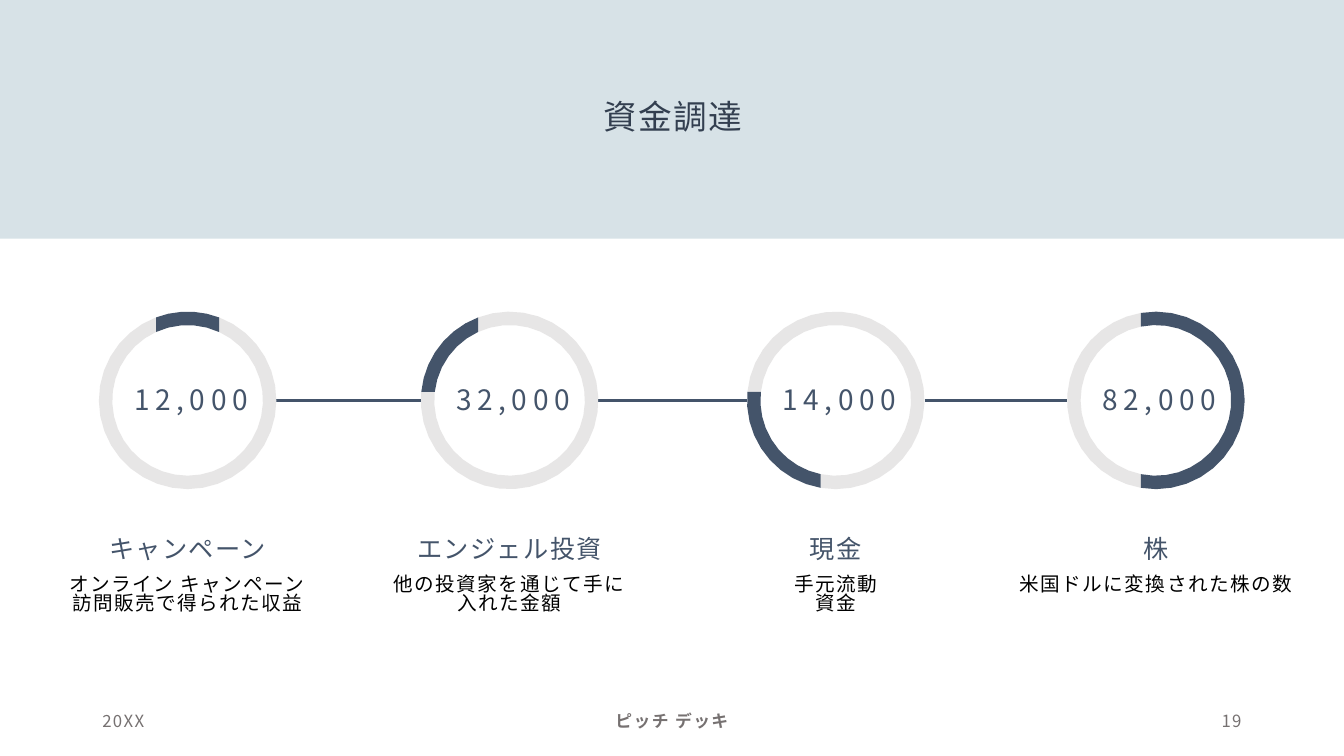
from math import asin, ceil, cos, degrees, radians, sin

from lxml.etree import SubElement
from pptx import Presentation
from pptx.dml.color import RGBColor
from pptx.enum.shapes import MSO_CONNECTOR as Connector, MSO_SHAPE as Preset
from pptx.enum.text import MSO_ANCHOR as Anchor, MSO_AUTO_SIZE as AutoSize, PP_ALIGN as Align
from pptx.oxml.ns import qn
from pptx.util import Pt

# Content: a cut is (side of the ring, offset of the cut from the centre);
# the dark part of each ring runs clockwise from the first cut to the second
TITLE = "資金調達"
SOURCES = [
    {"centre": 134, "amount": "12,000", "heading": "キャンペーン",
     "detail": ["オンライン キャンペーン訪問販売で得られた収益"],
     "cuts": [("top", -22.5), ("top", 22.5)], "width": 187},
    {"centre": 364, "amount": "32,000", "heading": "エンジェル投資",
     "detail": ["他の投資家を通じて手に入れた金額"],
     "cuts": [("left", 6), ("top", -22.5)], "width": 187},
    {"centre": 597, "amount": "14,000", "heading": "現金",
     "detail": ["手元流動", "資金"],
     "cuts": [("bottom", -10.8), ("left", 6)], "width": 187},
    {"centre": 825.7, "amount": "82,000", "heading": "株",
     "detail": ["米国ドルに変換された株の数"],
     "cuts": [("top", -10.8), ("bottom", -10.8)], "width": 225},
]
FOOTERS = [
    ("20XX", 66, 216, Align.LEFT, False),
    ("ピッチ デッキ", 318, 324, Align.CENTER, True),
    ("19", 678, 216, Align.RIGHT, False),
]

FONT = "Noto Sans CJK JP"
NAVY, TITLE_NAVY, GREY, BAND = "44546A", "333F50", "E7E6E6", "D7E2E7"
BLACK, FOOTER_GREY = "000000", "767171"
RING_Y, OUTER, INNER = 286, 63.4, 53.8
ARC_STEP = 10  # degrees


def colour(code):
    return RGBColor.from_string(code)


def write(box, lines, size, ink, align=Align.CENTER, anchor=Anchor.MIDDLE,
          bold=False, tracking=1, spacing=None, before=0):
    frame = box.text_frame
    frame.word_wrap = True
    frame.auto_size = AutoSize.NONE
    frame.vertical_anchor = anchor
    for index, line in enumerate(lines):
        para = frame.add_paragraph() if index else frame.paragraphs[0]
        para.alignment = align
        para.space_before = Pt(before)
        if spacing:
            para.line_spacing = spacing
        span = para.add_run()
        span.text = line
        font = span.font
        font.name, font.size, font.bold = FONT, Pt(size), bold
        font.color.rgb = colour(ink)
        properties = span._r.get_or_add_rPr()
        properties.set("spc", str(tracking * 100))
        SubElement(properties, qn("a:ea")).set("typeface", FONT)


def add_text(page, left, top, width, height, lines, **style):
    box = page.shapes.add_textbox(Pt(left), Pt(top), Pt(width), Pt(height))
    write(box, lines, **style)


def paint(shape, fill):
    shape.shadow.inherit = False
    shape.fill.solid()
    shape.fill.fore_color.rgb = colour(fill)
    shape.line.fill.background()


def cut_angle(cut, radius):
    """Clockwise degrees from the top where a straight cut meets a circle."""
    side, offset = cut
    turn = degrees(asin(offset / radius))
    return {"top": turn, "bottom": 180 - turn, "left": 270 + turn}[side]


def arc(centre, radius, start, end):
    first, last = cut_angle(start, radius), cut_angle(end, radius)
    sweep = (last - first) % 360
    steps = ceil(sweep / ARC_STEP)
    angles = [radians(first + sweep * step / steps) for step in range(steps + 1)]
    return [(Pt(centre + radius * sin(angle)), Pt(RING_Y - radius * cos(angle)))
            for angle in angles]


def add_ring_part(page, centre, start, end, fill):
    points = arc(centre, OUTER, start, end) + arc(centre, INNER, start, end)[::-1]
    builder = page.shapes.build_freeform(*points[0])
    builder.add_line_segments(points[1:], close=True)
    paint(builder.convert_to_shape(), fill)


def main():
    deck = Presentation()
    deck.slide_width, deck.slide_height = Pt(960), Pt(540)
    page = deck.slides.add_slide(deck.slide_layouts[5])

    # Title on its band
    band = page.shapes.add_shape(Preset.RECTANGLE, 0, 0, Pt(960), Pt(170.6))
    paint(band, BAND)
    title = page.shapes.title
    title.left, title.top, title.width, title.height = Pt(318), Pt(48), Pt(325), Pt(74)
    write(title, [TITLE], size=24, ink=TITLE_NAVY, spacing=0.9)
    band._element.addnext(title._element)

    # Lines between neighbouring rings
    for source, following in zip(SOURCES, SOURCES[1:]):
        link = page.shapes.add_connector(
            Connector.STRAIGHT, Pt(source["centre"] + OUTER), Pt(RING_Y),
            Pt(following["centre"] - OUTER), Pt(RING_Y))
        link.line.color.rgb = colour(NAVY)
        link.line.width = Pt(2.25)
        SubElement(link._element.spPr, qn("a:effectLst"))

    # Rings with amount, heading and detail
    for source in SOURCES:
        centre, width = source["centre"], source["width"]
        start, end = source["cuts"]
        add_ring_part(page, centre, end, start, GREY)
        add_ring_part(page, centre, start, end, NAVY)
        add_text(page, centre - 71.5, 243, 148, 90, [source["amount"]],
                 size=20, ink=NAVY, tracking=4, spacing=0.7)
        add_text(page, centre - 93.5, 356.4, 187, 49.7, [source["heading"]],
                 size=18, ink=NAVY, anchor=Anchor.BOTTOM, spacing=0.9, before=10)
        add_text(page, centre - width / 2, 408, width, 71, source["detail"],
                 size=14, ink=BLACK, anchor=Anchor.TOP, spacing=0.81)

    # Footer
    for text, left, width, align, bold in FOOTERS:
        add_text(page, left, 500.4, width, 28.8, [text],
                 size=12, ink=FOOTER_GREY, align=align, bold=bold)

    deck.save("out.pptx")


if __name__ == "__main__":
    main()
